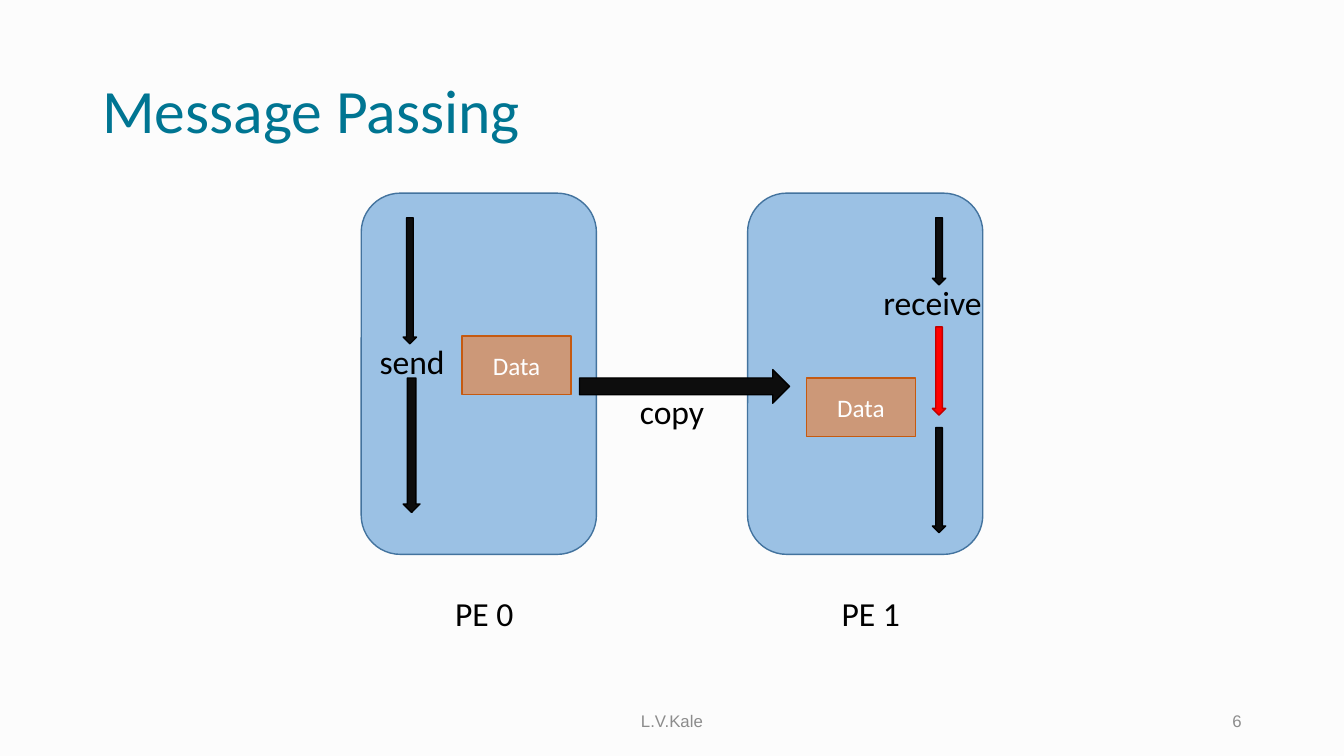
from lxml.etree import SubElement
from pptx import Presentation
from pptx.dml.color import RGBColor
from pptx.enum.shapes import MSO_SHAPE as Kind
from pptx.enum.text import MSO_ANCHOR as Anchor, PP_ALIGN as Align
from pptx.oxml.ns import qn
from pptx.util import Pt

PAPER = RGBColor(0xFC, 0xFC, 0xFC)
TEAL = RGBColor(0x00, 0x75, 0x92)
GREY = RGBColor(0x8C, 0x8C, 0x8C)
BLACK = RGBColor(0, 0, 0)
WHITE = RGBColor(0xFF, 0xFF, 0xFF)
INK = RGBColor(0x0D, 0x0D, 0x0D)
BLUE = RGBColor(0x5B, 0x9B, 0xD5)
NAVY = RGBColor(0x43, 0x73, 0x9E)
ORANGE = RGBColor(0xED, 0x7D, 0x31)
RUST = RGBColor(0xC5, 0x5A, 0x11)
RED = RGBColor(0xFF, 0, 0)
DARK_RED = RGBColor(0xC0, 0, 0)


def write(frame, text, size=24, color=BLACK, font="Calibri", align=Align.LEFT,
          anchor=Anchor.TOP, wrap=True, space=None):
    frame.word_wrap = wrap
    frame.vertical_anchor = anchor
    para = frame.paragraphs[0]
    para.alignment = align
    para.line_spacing = space
    run = para.add_run()
    run.text = text
    run.font.size = Pt(size)
    run.font.name = font
    run.font.color.rgb = color


def add_text(slide, text, x, y, w, h, **style):
    box = slide.shapes.add_textbox(Pt(x), Pt(y), Pt(w), Pt(h))
    write(box.text_frame, text, **style)


def add_label(slide, text, x, y, w):
    add_text(slide, text, x, y, w, 36.7, wrap=False)


def add_block(slide, kind, x, y, w, h, fill, line, alpha=100):
    block = slide.shapes.add_shape(kind, Pt(x), Pt(y), Pt(w), Pt(h))
    block.shadow.inherit = False
    block.fill.solid()
    block.fill.fore_color.rgb = fill
    block.line.color.rgb = line
    block.line.width = Pt(1)
    if alpha < 100:
        color = block.fill._xPr.find(qn("a:solidFill"))[0]
        SubElement(color, qn("a:alpha"), val=str(alpha * 1000))
    return block


def add_data(slide, x, y):
    block = add_block(slide, Kind.RECTANGLE, x, y, 78, 42, ORANGE, RUST, 60)
    write(block.text_frame, "Data", size=18, color=WHITE,
          align=Align.CENTER, anchor=Anchor.MIDDLE)


def add_down(slide, mid, top, size, thick=9.5, fill=INK, line=BLACK):
    """Arrow pointing down, centred on mid and turned about its centre."""
    arrow = add_block(slide, Kind.RIGHT_ARROW, mid - size / 2,
                      top + (size - thick) / 2, size, thick, fill, line)
    arrow.rotation = 90


def main():
    deck = Presentation()
    deck.slide_width, deck.slide_height = Pt(960), Pt(540)
    slide = deck.slides.add_slide(deck.slide_layouts[6])
    slide.background.fill.solid()
    slide.background.fill.fore_color.rgb = PAPER

    # Title and footer
    add_text(slide, "Message Passing", 66, 28.75, 828, 104.4, size=44,
             color=TEAL, anchor=Anchor.MIDDLE, space=0.9)
    foot = dict(size=12, color=GREY, font="Arial", anchor=Anchor.MIDDLE)
    add_text(slide, "L.V.Kale", 318, 500.5, 324, 28.75, align=Align.CENTER, **foot)
    add_text(slide, "6", 678, 500.5, 216, 28.75, align=Align.RIGHT, **foot)

    # Processing elements with their data
    for rank, (left, inset, top) in enumerate([(258, 72, 240), (534, 42, 270)]):
        add_block(slide, Kind.ROUNDED_RECTANGLE, left, 138, 168, 258, BLUE, NAVY, 60)
        add_label(slide, f"PE {rank}", left + 60, 420, 57)
        add_data(slide, left + inset, top)

    # Sender's flow
    add_label(slide, "send", 264, 240, 62)
    add_down(slide, 292.75, 155.5, 90)
    add_down(slide, 294, 270, 96, thick=12)

    # Receiver's flow, waiting in red
    add_label(slide, "receive", 624, 198, 85.5)
    add_down(slide, 670.75, 155.5, 48)
    add_down(slide, 670.75, 233.5, 63, fill=RED, line=DARK_RED)
    add_down(slide, 670.75, 305.5, 75)

    # Copy between the two
    add_block(slide, Kind.RIGHT_ARROW, 414, 264, 150, 24, INK, BLACK)
    add_label(slide, "copy", 450, 276, 61)

    deck.save("out.pptx")


main()
